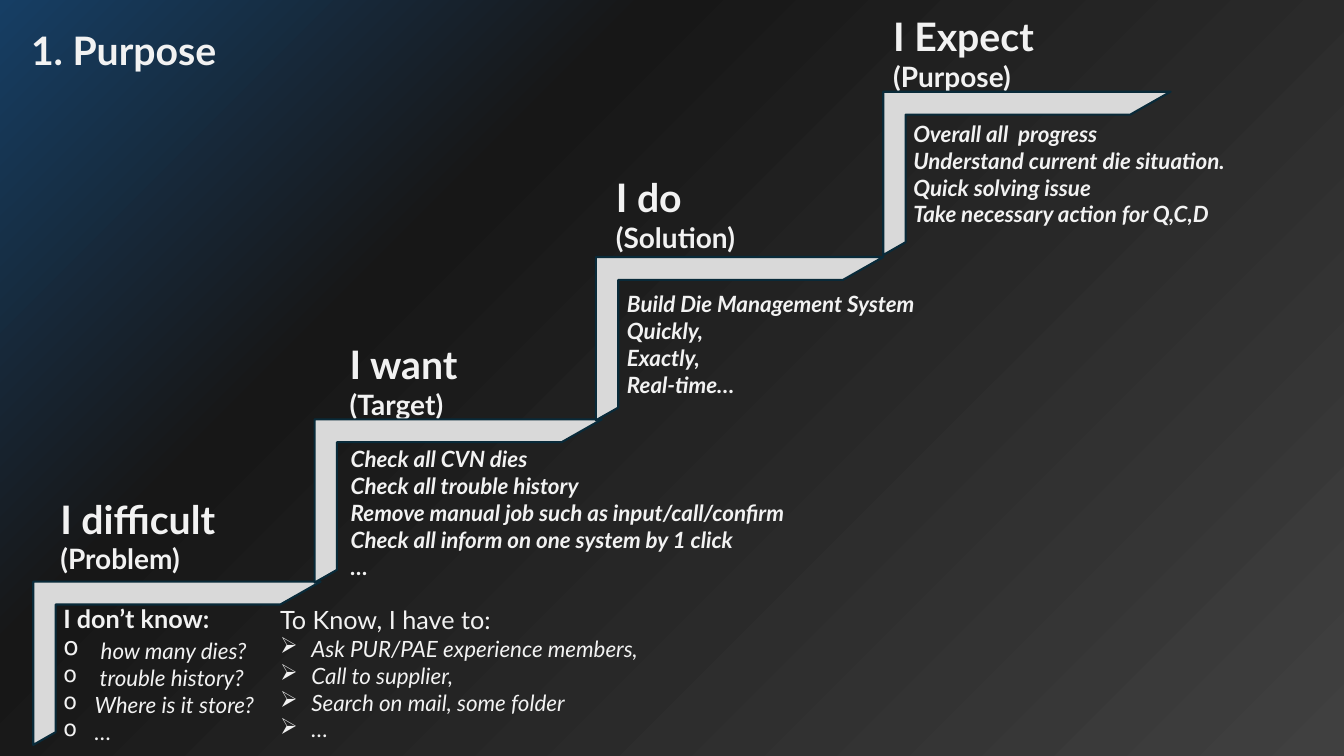
from dataclasses import dataclass

from lxml import etree
from pptx import Presentation
from pptx.dml.color import RGBColor
from pptx.enum.shapes import MSO_SHAPE
from pptx.enum.text import MSO_AUTO_SIZE
from pptx.oxml import parse_xml
from pptx.oxml.ns import qn
from pptx.slide import Slide
from pptx.util import Inches, Pt

HALF_FRAME = MSO_SHAPE.HALF_FRAME
FIT_SHAPE = MSO_AUTO_SIZE.SHAPE_TO_FIT_TEXT

FONT = "Lato"
TEXT_COLOR = "F2F2F2"
STEP_FILL = "D9D9D9"
STEP_LINE = "092A39"
STEP_SIZE = (2.85, 1.62)
BULLET_INDENT = 0.31
BACKGROUND_STOPS = [(0, "F0F8FD"), (0, "404040"), (69, "171717"), (100, "163E64")]


@dataclass
class Line:
    text: str
    size: int = 16
    bold: bool = False
    italic: bool = False
    bullet: str = ""
    lead: str = ""  # bold 18 pt text ahead of the line


@dataclass
class TextBlock:
    box: tuple[float, float, float, float]
    lines: list[Line]


@dataclass
class Step:
    corner: tuple[float, float]
    heading_box: tuple[float, float, float, float]
    heading: str
    role: str


STEPS = [
    Step((0.33, 5.77), (0.5, 4.86, 2.62, 0.91), "I difficult", "(Problem)"),
    Step((3.12, 4.16), (3.37, 3.33, 1.99, 0.91), "I want", "(Target)"),
    Step((5.91, 2.55), (6.01, 1.67, 3.22, 0.91), "I do", "(Solution)"),
    Step((8.76, 0.91), (8.76, 0.07, 3.22, 0.91), "I Expect", "(Purpose)"),
]


def statements(*texts: str) -> list[Line]:
    return [Line(text, bold=True, italic=True) for text in texts]


def bullets(mark: str, *texts: str) -> list[Line]:
    return [Line(text, italic=True, bullet=mark) for text in texts]


DETAILS = [
    TextBlock((0.53, 5.94, 4.89, 1.51), [
        Line("I don’t know:", 18, bold=True),
        Line("how many dies?", italic=True, bullet="o", lead=" "),
        *bullets("o", " trouble history?", "Where is it store?", "…"),
    ]),
    TextBlock((2.68, 5.95, 6.67, 1.48), [
        Line("To Know, I have to:", 18),
        *bullets("➢", "Ask PUR/PAE experience members,", "Call to supplier,",
                 "Search on mail, some folder", "…"),
    ]),
    TextBlock((3.38, 4.37, 5.29, 1.45), statements(
        "Check all CVN dies", "Check all trouble history",
        "Remove manual job such as input/call/confirm",
        "Check all inform on one system by 1 click", "…")),
    TextBlock((6.12, 2.83, 3.58, 1.18), statements(
        "Build Die Management System", "Quickly,", "Exactly,", "Real-time…")),
    TextBlock((8.96, 1.14, 4, 1.18), statements(
        "Overall all  progress", "Understand current die situation.",
        "Quick solving issue", "Take necessary action for Q,C,D")),
]


def color(value: str) -> RGBColor:
    return RGBColor.from_string(value)


def style_font(font, size: int, bold: bool, italic: bool) -> None:
    font.name = FONT
    font.size = Pt(size)
    font.bold = bold
    font.italic = italic
    font.color.rgb = color(TEXT_COLOR)


def add_bullet(paragraph, mark: str) -> None:
    properties = paragraph._p.get_or_add_pPr()
    indent = Inches(BULLET_INDENT)
    properties.set("marL", str(indent))
    properties.set("indent", str(-indent))
    etree.SubElement(properties, qn("a:buChar")).set("char", mark)


def add_text(slide: Slide, block: TextBlock) -> None:
    frame = slide.shapes.add_textbox(*map(Inches, block.box)).text_frame
    frame.word_wrap = True
    frame.auto_size = FIT_SHAPE
    for index, line in enumerate(block.lines):
        paragraph = frame.add_paragraph() if index else frame.paragraphs[0]
        if line.bullet:
            add_bullet(paragraph, line.bullet)
        if line.lead:
            lead = paragraph.add_run()
            lead.text = line.lead
            style_font(lead.font, 18, True, False)
        run = paragraph.add_run()
        run.text = line.text
        target = run if line.lead else paragraph
        style_font(target.font, line.size, line.bold, line.italic)


def add_step(slide: Slide, step: Step) -> None:
    shape = slide.shapes.add_shape(
        HALF_FRAME, *map(Inches, step.corner + STEP_SIZE))
    shape.shadow.inherit = False
    shape.adjustments[0] = 0.14
    shape.adjustments[1] = 0.137
    shape.fill.solid()
    shape.fill.fore_color.rgb = color(STEP_FILL)
    shape.line.color.rgb = color(STEP_LINE)
    shape.line.width = Pt(1.5)


def set_background(slide: Slide) -> None:
    stops = "".join(
        f'<a:gs pos="{position * 1000}"><a:srgbClr val="{value}"/></a:gs>'
        for position, value in BACKGROUND_STOPS)
    background = parse_xml(
        '<p:bg xmlns:p="http://schemas.openxmlformats.org/presentationml/2006/main"'
        ' xmlns:a="http://schemas.openxmlformats.org/drawingml/2006/main">'
        f'<p:bgPr><a:gradFill rotWithShape="1"><a:gsLst>{stops}</a:gsLst>'
        '<a:path path="circle"><a:fillToRect l="100000" t="100000"/></a:path>'
        '<a:tileRect r="-100000" b="-100000"/></a:gradFill>'
        '<a:effectLst/></p:bgPr></p:bg>')
    slide.element.cSld.insert(0, background)


def main() -> None:
    presentation = Presentation()
    presentation.slide_width = Inches(13.33)
    presentation.slide_height = Inches(7.5)
    slide = presentation.slides.add_slide(presentation.slide_layouts[6])
    set_background(slide)

    # Slide title
    add_text(slide, TextBlock((0.21, 0.21, 2.24, 0.57),
                              [Line("1. Purpose", 28, bold=True)]))

    # Staircase: headings lie beneath the steps
    for step in STEPS:
        add_text(slide, TextBlock(step.heading_box, [
            Line(step.heading, 28, bold=True), Line(step.role, 20, bold=True)]))
    for step in STEPS:
        add_step(slide, step)

    # Details under each step
    for block in DETAILS:
        add_text(slide, block)

    presentation.save("out.pptx")


if __name__ == "__main__":
    main()
